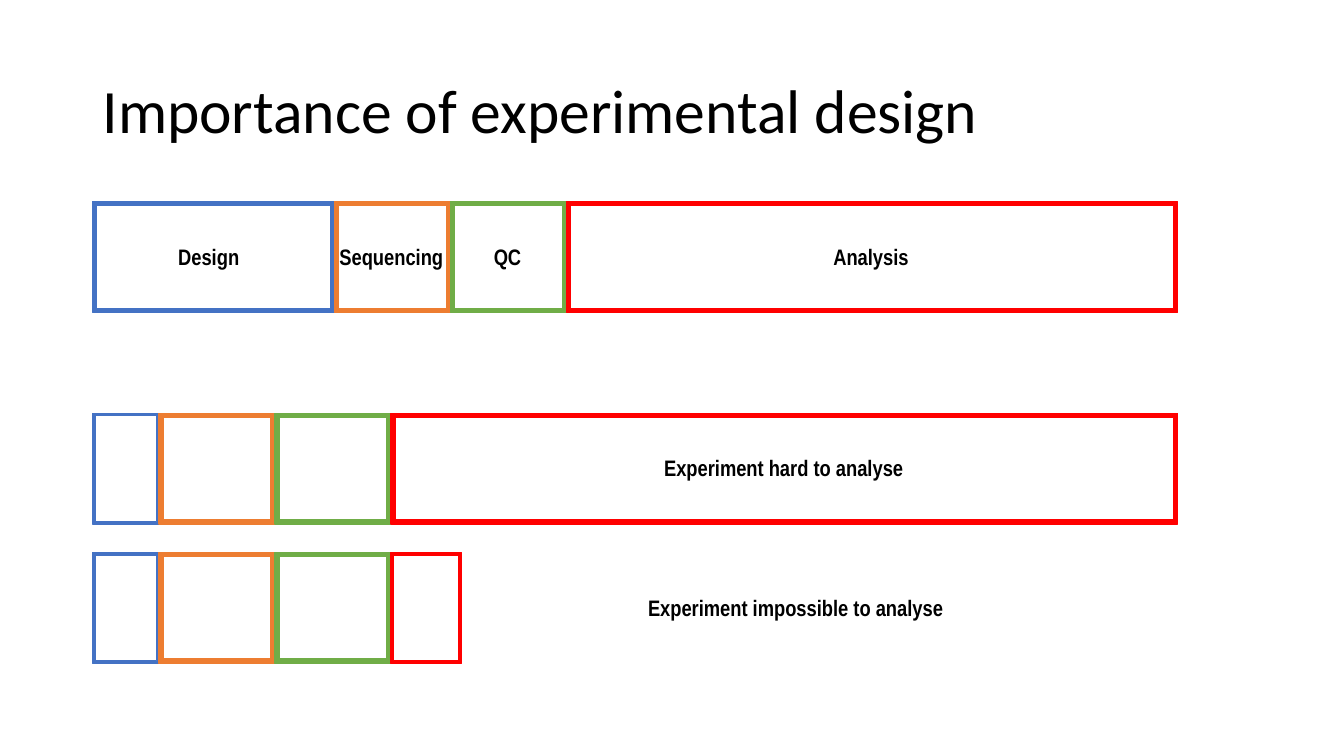
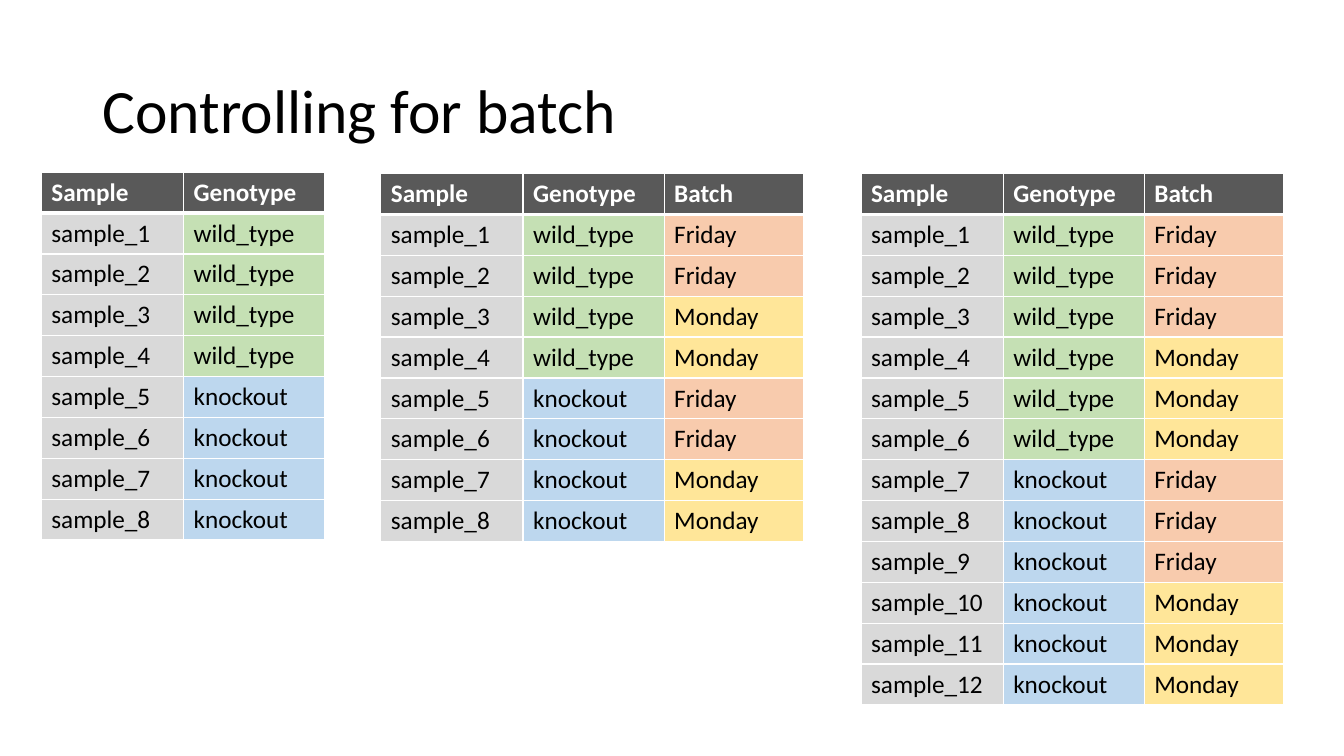
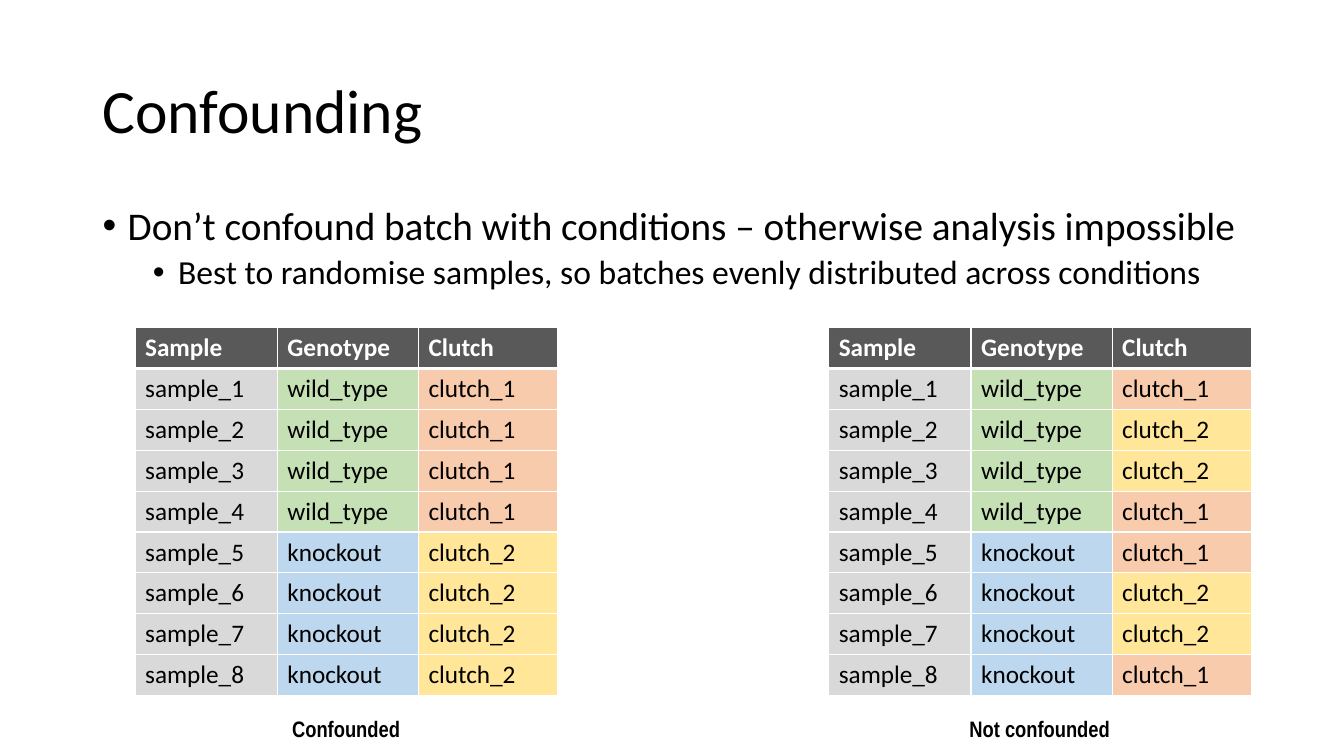
from dataclasses import dataclass

from lxml.etree import SubElement
from pptx import Presentation
from pptx.dml.color import RGBColor
from pptx.enum.shapes import MSO_SHAPE
from pptx.enum.text import MSO_ANCHOR, MSO_AUTO_SIZE
from pptx.oxml.ns import qn
from pptx.util import Pt

COLORS = {
    "black": "000000", "white": "FFFFFF", "header": "595959",
    "blue": "4472C4", "orange": "ED7D31", "green": "70AD47", "red": "FF0000",
    "gray": "D9D9D9", "pale green": "C5E0B4", "pale blue": "BDD7EE",
    "peach": "F8CBAD", "yellow": "FFE699",
}
VALUE_FILLS = {
    "wild_type": "pale green", "knockout": "pale blue",
    "Friday": "peach", "Monday": "yellow",
    "clutch_1": "peach", "clutch_2": "yellow",
}
BODY_FONT, LABEL_FONT = "Calibri", "Arial Narrow"
MARGIN, CONTENT_WIDTH = 66.2, 828
STAGE_COLORS = ("blue", "orange", "green", "red")
STAGE_HEIGHT, STEP_WIDTH, STAGES_RIGHT = 79.2, 82.8, 841.3
LABEL_OFFSET, LABEL_HEIGHT = 26, 26.6
COLUMN_WIDTHS = (101.6, 100.8, 99.4)
ROW_HEIGHT = 29.2


@dataclass(frozen=True)
class Label:
    text: str
    left: float
    width: float


@dataclass(frozen=True)
class Timeline:
    top: float
    design_width: float
    labels: tuple[Label, ...]
    analysis_width: float | None = None


@dataclass(frozen=True)
class SampleTable:
    left: float
    top: float
    count: int
    factor: str = ""
    levels: tuple[str, ...] = ()


TIMELINES = (
    Timeline(144, 172.8, (
        Label("Design", 120.2, 58.3), Label("Sequencing", 235.4, 89.3),
        Label("QC", 345.6, 34.6), Label("Analysis", 588.2, 69.1))),
    Timeline(295.2, 47.5, (Label("Experiment hard to analyse", 467.3, 187.2),)),
    Timeline(394.6, 47.5, (Label("Experiment impossible to analyse", 455.8, 227.5),), 50.4),
)
DAYS = ("Friday", "Monday")
CLUTCHES = ("clutch_1", "clutch_2")
BATCH_TABLES = (
    SampleTable(29.5, 123, 8),
    SampleTable(272, 124, 8, "Batch", tuple(day for day in DAYS for _ in range(2)) * 2),
    SampleTable(615, 124, 12, "Batch", tuple(day for day in DAYS for _ in range(3)) * 2),
)
CLUTCH_TABLES = (
    SampleTable(96.5, 234, 8, "Clutch", tuple(clutch for clutch in CLUTCHES for _ in range(4))),
    SampleTable(592, 234, 8, "Clutch", (*CLUTCHES, *reversed(CLUTCHES)) * 2),
)
CLUTCH_LABELS = (Label("Confounded", 201.6, 92.2), Label("Not confounded", 685.4, 115.9))
CLUTCH_LABEL_TOP = 507.6


def color(name: str) -> RGBColor:
    return RGBColor.from_string(COLORS[name])


def write(paragraph, text: str, *, size: float, font: str = BODY_FONT,
          ink: str = "black", bold: bool = False, line_spacing: float | None = None,
          space_before: float | None = None) -> None:
    run = paragraph.add_run()
    run.text = text
    run.font.name, run.font.size, run.font.bold = font, Pt(size), bold
    run.font.color.rgb = color(ink)
    if line_spacing is not None:
        paragraph.line_spacing = line_spacing
    if space_before is not None:
        paragraph.space_before = Pt(space_before)


def add_box(shapes, left: float, top: float, width: float, height: float):
    """Add a wrapping text box and return its text frame."""
    frame = shapes.add_textbox(Pt(left), Pt(top), Pt(width), Pt(height)).text_frame
    frame.word_wrap = True
    return frame


def add_title(slide, text: str) -> None:
    frame = add_box(slide.shapes, MARGIN, 28.8, CONTENT_WIDTH, 104.4)
    frame.vertical_anchor = MSO_ANCHOR.MIDDLE
    write(frame.paragraphs[0], text, size=44, line_spacing=0.9)


def add_label(shapes, label: Label, top: float) -> None:
    frame = add_box(shapes, label.left, top, label.width, LABEL_HEIGHT)
    frame.word_wrap = False
    frame.auto_size = MSO_AUTO_SIZE.SHAPE_TO_FIT_TEXT
    write(frame.paragraphs[0], label.text, size=16, font=LABEL_FONT, bold=True)


def add_timeline(slide, timeline: Timeline) -> None:
    shapes = slide.shapes.add_group_shape().shapes
    analysis_left = MARGIN + timeline.design_width + 2 * STEP_WIDTH
    analysis_width = timeline.analysis_width or STAGES_RIGHT - analysis_left
    widths = (timeline.design_width, STEP_WIDTH, STEP_WIDTH, analysis_width)
    left = MARGIN
    for width, name in zip(widths, STAGE_COLORS):
        stage = shapes.add_shape(MSO_SHAPE.FRAME, Pt(left), Pt(timeline.top),
                                 Pt(width), Pt(STAGE_HEIGHT))
        stage.adjustments[0] = 0.037
        stage.shadow.inherit = False
        stage.fill.solid()
        stage.fill.fore_color.rgb = color(name)
        stage.line.color.rgb = color(name)
        stage.line.width = Pt(1)
        left += width
    for label in timeline.labels:
        add_label(shapes, label, timeline.top + LABEL_OFFSET)


def set_borders(cell, top: float, bottom: float) -> None:
    properties = cell._tc.get_or_add_tcPr()
    for side, width in (("L", 1), ("R", 1), ("T", top), ("B", bottom)):
        line = SubElement(properties, qn(f"a:ln{side}"), w=str(Pt(width)))
        fill = SubElement(line, qn("a:solidFill"))
        SubElement(fill, qn("a:srgbClr"), val=COLORS["white"])


def table_rows(sample_table: SampleTable) -> list[list[str]]:
    """Header and samples, the first half wild type and the rest knockout."""
    half = sample_table.count // 2
    genotypes = ["wild_type"] * half + ["knockout"] * half
    rows = [["Sample", "Genotype"]]
    rows += [[f"sample_{number}", genotype] for number, genotype in enumerate(genotypes, 1)]
    if sample_table.factor:
        for row, value in zip(rows, (sample_table.factor, *sample_table.levels)):
            row.append(value)
    return rows


def add_sample_table(slide, sample_table: SampleTable) -> None:
    rows = table_rows(sample_table)
    widths = COLUMN_WIDTHS[:len(rows[0])]
    table = slide.shapes.add_table(
        len(rows), len(widths), Pt(sample_table.left), Pt(sample_table.top),
        Pt(sum(widths)), Pt(ROW_HEIGHT * len(rows))).table
    table.horz_banding = False
    for column, width in zip(table.columns, widths):
        column.width = Pt(width)
    for row_index, values in enumerate(rows):
        table.rows[row_index].height = Pt(ROW_HEIGHT)
        is_header = row_index == 0
        for column_index, value in enumerate(values):
            cell = table.cell(row_index, column_index)
            set_borders(cell, top=3 if row_index == 1 else 1, bottom=3 if is_header else 1)
            cell.fill.solid()
            cell.fill.fore_color.rgb = color(
                "header" if is_header else VALUE_FILLS.get(value, "gray"))
            write(cell.text_frame.paragraphs[0], value, size=18,
                  ink="white" if is_header else "black", bold=is_header)


def add_bullet(paragraph, level: int, indent: float) -> None:
    paragraph.level = level
    properties = paragraph._p.get_or_add_pPr()
    properties.set("marL", str(Pt(indent)))
    properties.set("indent", str(Pt(-18)))
    SubElement(properties, qn("a:buFont"), typeface="Arial")
    SubElement(properties, qn("a:buChar"), char="•")


def build_design_slide(slide) -> None:
    add_title(slide, "Importance of experimental design")
    for timeline in TIMELINES:
        add_timeline(slide, timeline)


def build_batch_slide(slide) -> None:
    add_title(slide, "Controlling for batch")
    for sample_table in BATCH_TABLES:
        add_sample_table(slide, sample_table)


def build_confounding_slide(slide) -> None:
    add_title(slide, "Confounding")
    frame = add_box(slide.shapes, MARGIN, 144, CONTENT_WIDTH, 72)
    advice, detail = frame.paragraphs[0], frame.add_paragraph()
    write(advice, "Don’t confound batch with conditions – otherwise analysis impossible",
          size=28, line_spacing=0.9, space_before=10)
    add_bullet(advice, level=0, indent=18)
    write(detail, "Best to randomise samples, so batches evenly distributed across conditions",
          size=24, line_spacing=0.9, space_before=5)
    add_bullet(detail, level=1, indent=54)
    for sample_table, label in zip(CLUTCH_TABLES, CLUTCH_LABELS):
        add_sample_table(slide, sample_table)
        add_label(slide.shapes, label, CLUTCH_LABEL_TOP)


def main() -> None:
    presentation = Presentation()
    presentation.slide_width, presentation.slide_height = Pt(960), Pt(540)
    blank_layout = presentation.slide_layouts[6]
    for build in (build_design_slide, build_batch_slide, build_confounding_slide):
        build(presentation.slides.add_slide(blank_layout))
    presentation.save("out.pptx")


if __name__ == "__main__":
    main()
